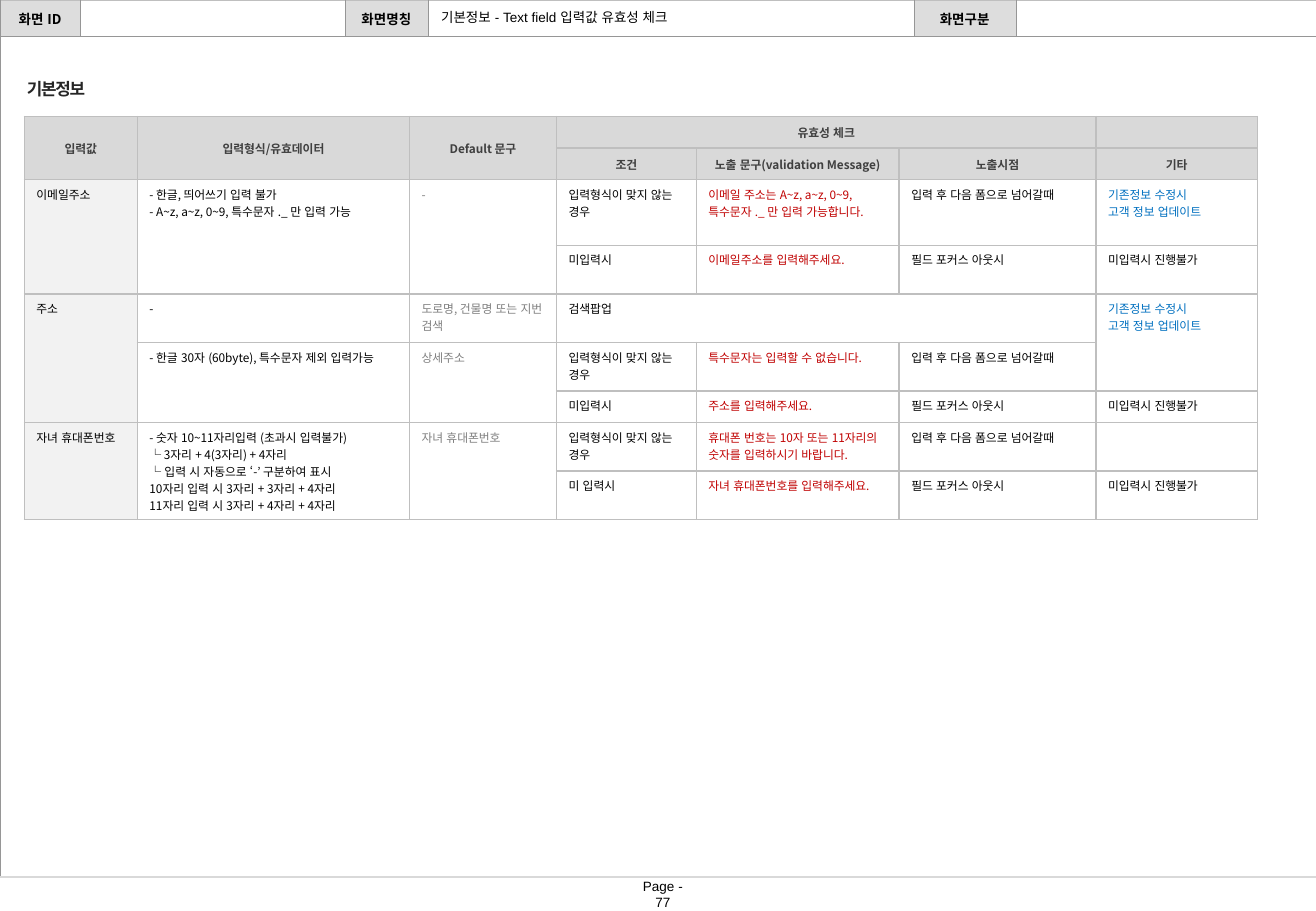
import pptx
import pptx.dml.color
import pptx.enum.lang
import pptx.enum.text
import pptx.oxml.ns
import pptx.util
from lxml import etree

Inches = pptx.util.Inches
qn = pptx.oxml.ns.qn
ALIGN = pptx.enum.text.PP_ALIGN
ANCHOR = pptx.enum.text.MSO_ANCHOR

KOREAN_FONT = "Noto Sans CJK KR"
COLORS = {
    "black": "000000", "title": "262626", "heading": "404040", "gray": "808080",
    "red": "C00000", "blue": "0070C0", "white": "FFFFFF", "label_fill": "DDDDDD",
    "heading_fill": "D9D9D9", "item_fill": "F2F2F2", "grid": "BFBFBF",
    "frame": "969696", "footer_line": "D9D9D9",
}

SCREEN_LABELS = {0: "화면 ID", 2: "화면명칭", 4: "화면구분"}
SCREEN_COLUMNS = [0.66, 2.18, 0.68, 4, 0.84, 2.47]

RULE_COLUMNS = [0.93, 2.24, 1.21, 1.15, 1.67, 1.62, 1.33]
RULE_ROWS = [0.26, 0.26, 0.54, 0.4, 0.4, 0.4, 0.26, 0.4, 0.4]
FORMAT_ERROR = "입력형식이 맞지 않는 경우"
ON_NEXT = "입력 후 다음 폼으로 넘어갈때"
ON_BLUR = "필드 포커스 아웃시"
BLOCKED = "미입력시 진행불가"
UPDATE = "기존정보 수정시\v고객 정보 업데이트"
PHONE_FORMAT = """- 숫자 10~11자리입력 (초과시 입력불가)
└ 3자리 + 4(3자리) + 4자리
└ 입력 시 자동으로 ‘-’ 구분하여 표시
10자리 입력 시 3자리 + 3자리 + 4자리
11자리 입력 시 3자리 + 4자리 + 4자리"""
RULES = [
    ["입력값", "입력형식/유효데이터", "Default 문구", "유효성 체크", "", "", ""],
    ["", "", "", "조건", "노출 문구(validation Message)", "노출시점", "기타"],
    ["이메일주소", "- 한글, 띄어쓰기 입력 불가\n- A~z, a~z, 0~9, 특수문자 ._ 만 입력 가능", "-",
     FORMAT_ERROR, "이메일 주소는 A~z, a~z, 0~9, 특수문자 ._ 만 입력 가능합니다.", ON_NEXT, UPDATE],
    ["", "", "", "미입력시", "이메일주소를 입력해주세요.", ON_BLUR, BLOCKED],
    ["주소", "-", "도로명, 건물명 또는 지번 검색", "검색팝업", "", "", UPDATE],
    ["", "- 한글 30자 (60byte), 특수문자 제외 입력가능", "상세주소",
     FORMAT_ERROR, "특수문자는 입력할 수 없습니다.", ON_NEXT, ""],
    ["", "", "", "미입력시", "주소를 입력해주세요.", ON_BLUR, BLOCKED],
    ["자녀 휴대폰번호", PHONE_FORMAT, "자녀 휴대폰번호",
     FORMAT_ERROR, "휴대폰 번호는 10자 또는 11자리의 숫자를 입력하시기 바랍니다.", ON_NEXT, ""],
    ["", "", "", "미 입력시", "자녀 휴대폰번호를 입력해주세요.", ON_BLUR, BLOCKED],
]
# First row, first column, last row, last column
RULE_MERGES = [
    (0, 0, 1, 0), (0, 1, 1, 1), (0, 2, 1, 2), (0, 3, 0, 5),
    (2, 0, 3, 0), (2, 1, 3, 1), (2, 2, 3, 2),
    (4, 0, 6, 0), (4, 3, 4, 5), (4, 6, 5, 6), (5, 1, 6, 1), (5, 2, 6, 2),
    (7, 0, 8, 0), (7, 1, 8, 1), (7, 2, 8, 2),
]


def rgb(name):
    return pptx.dml.color.RGBColor.from_string(COLORS[name])


def write_text(frame, text, size=7, color="black", font=KOREAN_FONT, bold=False,
               align=ALIGN.LEFT, spacing=None):
    """Newlines start paragraphs; vertical tabs break lines inside one."""
    for index, line in enumerate(text.split("\n")):
        paragraph = frame.add_paragraph() if index else frame.paragraphs[0]
        paragraph.alignment = align
        if not line:
            etree.SubElement(paragraph._p, qn("a:endParaRPr"), sz=str(size * 100))
            continue
        for part_index, part in enumerate(line.split("\v")):
            if part_index:
                paragraph.add_line_break()
            run = paragraph.add_run()
            run.text = part
            run.font.size = pptx.util.Pt(size)
            run.font.bold = bold
            run.font.name = font
            run.font.color.rgb = rgb(color)
            run.font.language_id = pptx.enum.lang.MSO_LANGUAGE_ID.KOREAN
            properties = run._r.get_or_add_rPr()
            etree.SubElement(properties, qn("a:ea"), typeface=KOREAN_FONT)
            if spacing is not None:
                properties.set("spc", str(spacing))


def add_text_box(slide, box, text, margins=(0, 0), wrap=False, **text_format):
    shape = slide.shapes.add_textbox(*map(Inches, box))
    frame = shape.text_frame
    frame.word_wrap = wrap
    frame.vertical_anchor = ANCHOR.MIDDLE
    frame.margin_left = frame.margin_right = Inches(margins[0])
    frame.margin_top = frame.margin_bottom = Inches(margins[1])
    write_text(frame, text, **text_format)


def set_borders(cell, color, width, sides="LRTB"):
    properties = cell._tc.get_or_add_tcPr()
    for side in sides:
        line = etree.SubElement(properties, qn(f"a:ln{side}"), w=str(pptx.util.Pt(width)))
        fill = etree.SubElement(line, qn("a:solidFill"))
        etree.SubElement(fill, qn("a:srgbClr"), val=COLORS[color])


def add_plain_table(slide, left, top, columns, rows):
    box = map(Inches, (left, top, sum(columns), sum(rows)))
    table = slide.shapes.add_table(len(rows), len(columns), *box).table
    table.first_row = table.horz_banding = False
    for column, width in zip(table.columns, columns):
        column.width = Inches(width)
    for row, height in zip(table.rows, rows):
        row.height = Inches(height)
    return table


def fill_cell(cell, text, fill, anchor=ANCHOR.TOP, **text_format):
    if fill:
        cell.fill.solid()
        cell.fill.fore_color.rgb = rgb(fill)
    else:
        cell.fill.background()
    cell.vertical_anchor = anchor
    write_text(cell.text_frame, text, **text_format)


def add_screen_frame(slide, left, top, header_height, body_height):
    """Labelled header strip above the empty page body."""
    table = add_plain_table(slide, left, top, SCREEN_COLUMNS, [header_height, body_height])
    for column in range(len(SCREEN_COLUMNS)):
        header, body = table.cell(0, column), table.cell(1, column)
        set_borders(header, "frame", 0.25, "LR")
        set_borders(header, "grid", 1, "T")
        set_borders(header, "frame", 0.25, "B")
        set_borders(body, "frame", 0.25)
        header.margin_left = header.margin_right = Inches(0.08)
        fill_cell(header, SCREEN_LABELS.get(column, ""),
                  "label_fill" if column in SCREEN_LABELS else "white",
                  anchor=ANCHOR.MIDDLE, align=ALIGN.CENTER, size=8, bold=True)
        fill_cell(body, "", None)
    table.cell(1, 0).merge(table.cell(1, len(SCREEN_COLUMNS) - 1))
    title_left = left + sum(SCREEN_COLUMNS[:3])
    add_text_box(slide, (title_left, top + 0.02, 3.91, 0.24),
                 "기본정보 - Text field 입력값 유효성 체크",
                 margins=(0.11, 0.05), wrap=True, size=8, font="Arial")


def add_validation_rules(slide, left, top):
    add_text_box(slide, (left, top - 0.31, 0.52, 0.17), "기본정보", size=10,
                 color="title", bold=True, align=ALIGN.CENTER, spacing=-70)
    table = add_plain_table(slide, left, top, RULE_COLUMNS, RULE_ROWS)
    column_colors = {2: "gray", 4: "red"}
    for row, texts in enumerate(RULES):
        for column, text in enumerate(texts):
            cell = table.cell(row, column)
            set_borders(cell, "grid", 1)
            if row < 2:
                fill_cell(cell, text, "heading_fill", anchor=ANCHOR.MIDDLE,
                          align=ALIGN.CENTER, color="heading", bold=True)
            elif text == UPDATE:
                fill_cell(cell, text, "white", color="blue", font="Arial")
            else:
                fill_cell(cell, text, "white" if column else "item_fill",
                          color=column_colors.get(column, "black"))
    for first_row, first_column, last_row, last_column in RULE_MERGES:
        table.cell(first_row, first_column).merge(table.cell(last_row, last_column))


def add_footer(slide, top, width, height):
    line = slide.shapes.add_connector(1, 0, Inches(top), Inches(width), Inches(top))
    line.line.color.rgb = rgb("footer_line")
    line.line.width = pptx.util.Pt(0.75)
    etree.SubElement(line._element.spPr, qn("a:effectLst"))
    add_text_box(slide, (5.22, top, 0.47, height), "Page - 77", size=8,
                 font="Arial", align=ALIGN.CENTER)


def main():
    presentation = pptx.Presentation()
    presentation.slide_width = Inches(10.83)
    presentation.slide_height = Inches(7.5)
    slide = presentation.slides.add_slide(presentation.slide_layouts[6])
    add_screen_frame(slide, 0, 0, 0.3, 6.92)
    add_footer(slide, 7.22, 10.83, 0.28)
    add_validation_rules(slide, 0.2, 0.96)
    presentation.save("out.pptx")


if __name__ == "__main__":
    main()
